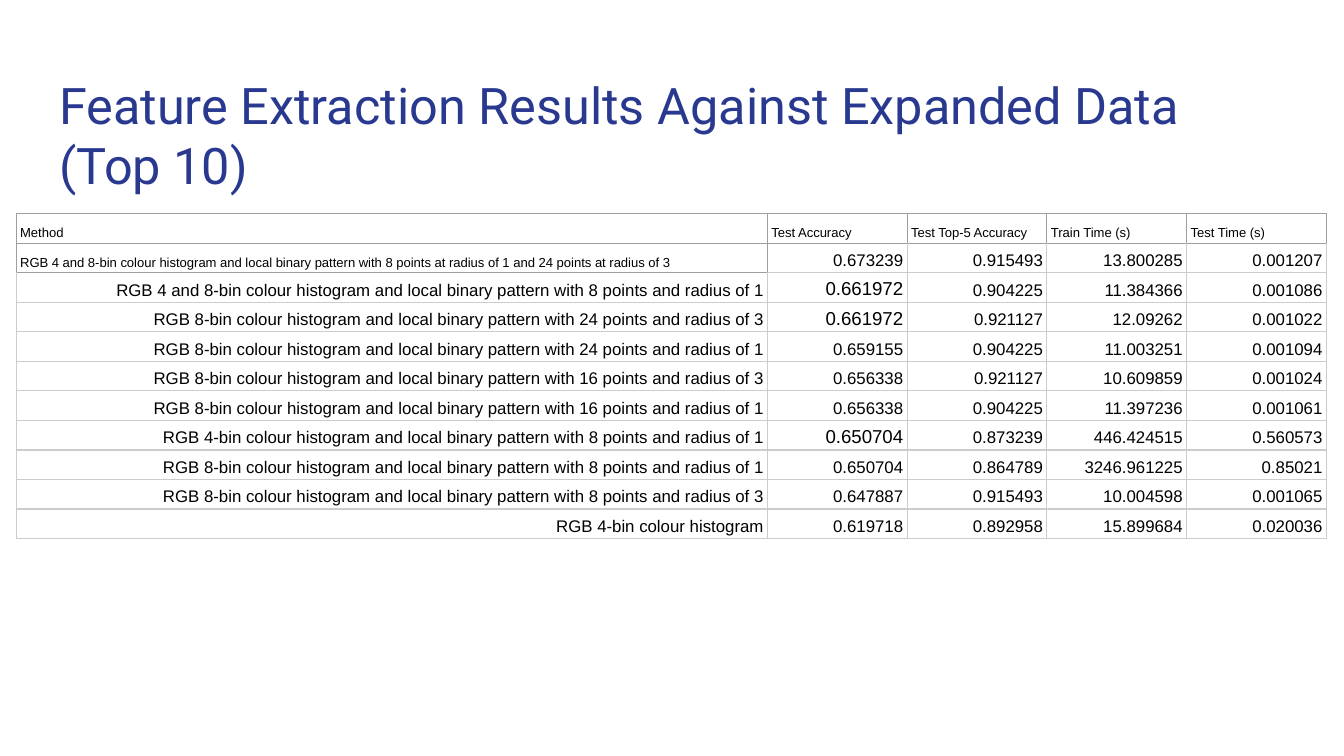
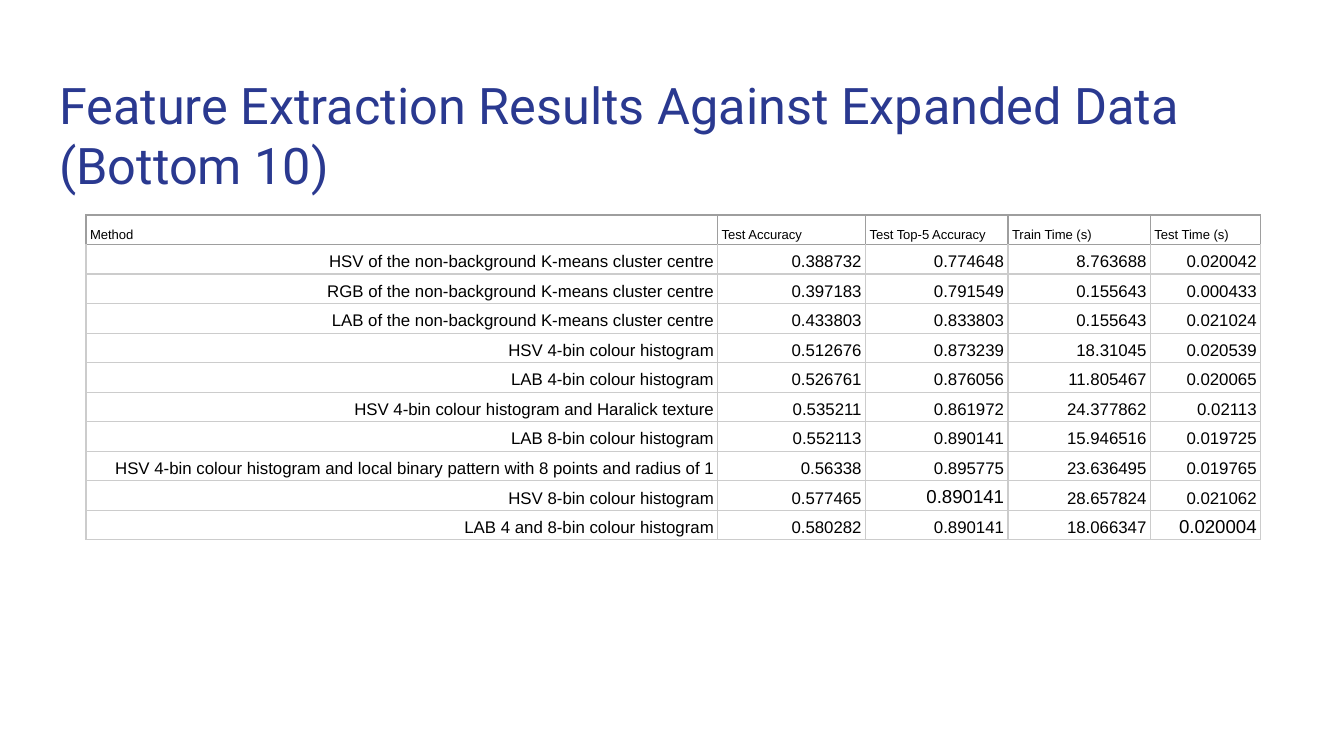
"""Build two slides of feature extraction results, each a title and a table."""
import pptx
import pptx.dml.color
import pptx.enum.text
import pptx.oxml
import pptx.oxml.ns
import pptx.util
from dataclasses import dataclass

Inches = pptx.util.Inches
Pt = pptx.util.Pt
RGB = pptx.dml.color.RGBColor.from_string
Align = pptx.enum.text.PP_ALIGN
Anchor = pptx.enum.text.MSO_ANCHOR


@dataclass
class Theme:
    title: str = "2A3990"
    ink: str = "000000"
    dark: str = "9E9E9E"
    light: str = "CCCCCC"
    head: str = "Roboto"
    body: str = "Arial"
    big: float = 27
    label: float = 7
    value: float = 9
    large: float = 10
    rule: float = 0.75


theme = Theme()


def write(para, text, font, size, color):
    run = para.add_run()
    run.text = text
    run.font.name = font
    run.font.size = Pt(size)
    run.font.color.rgb = RGB(color)


def edge(cell, sides):
    props = cell._tc.get_or_add_tcPr()
    for i, (side, color) in enumerate(sides.items()):
        line = pptx.oxml.parse_xml(
            f'<a:ln{side} {pptx.oxml.ns.nsdecls("a")} w="{Pt(theme.rule)}">'
            f'<a:solidFill><a:srgbClr val="{color}"/></a:solidFill>'
            f'<a:prstDash val="solid"/></a:ln{side}>')
        props.insert(i, line)


header = ["Method", "Test Accuracy", "Test Top-5 Accuracy", "Train Time (s)", "Test Time (s)"]
lbp = "colour histogram and local binary pattern with"
means = "of the non-background K-means cluster centre"

top = [
    [f"RGB 4 and 8-bin {lbp} 8 points at radius of 1 and 24 points at radius of 3",
     "0.673239", "0.915493", "13.800285", "0.001207"],
    [f"RGB 4 and 8-bin {lbp} 8 points and radius of 1", "0.661972", "0.904225", "11.384366", "0.001086"],
    [f"RGB 8-bin {lbp} 24 points and radius of 3", "0.661972", "0.921127", "12.09262", "0.001022"],
    [f"RGB 8-bin {lbp} 24 points and radius of 1", "0.659155", "0.904225", "11.003251", "0.001094"],
    [f"RGB 8-bin {lbp} 16 points and radius of 3", "0.656338", "0.921127", "10.609859", "0.001024"],
    [f"RGB 8-bin {lbp} 16 points and radius of 1", "0.656338", "0.904225", "11.397236", "0.001061"],
    [f"RGB 4-bin {lbp} 8 points and radius of 1", "0.650704", "0.873239", "446.424515", "0.560573"],
    [f"RGB 8-bin {lbp} 8 points and radius of 1", "0.650704", "0.864789", "3246.961225", "0.85021"],
    [f"RGB 8-bin {lbp} 8 points and radius of 3", "0.647887", "0.915493", "10.004598", "0.001065"],
    ["RGB 4-bin colour histogram", "0.619718", "0.892958", "15.899684", "0.020036"],
]
bottom = [
    [f"HSV {means}", "0.388732", "0.774648", "8.763688", "0.020042"],
    [f"RGB {means}", "0.397183", "0.791549", "0.155643", "0.000433"],
    [f"LAB {means}", "0.433803", "0.833803", "0.155643", "0.021024"],
    ["HSV 4-bin colour histogram", "0.512676", "0.873239", "18.31045", "0.020539"],
    ["LAB 4-bin colour histogram", "0.526761", "0.876056", "11.805467", "0.020065"],
    ["HSV 4-bin colour histogram and Haralick texture", "0.535211", "0.861972", "24.377862", "0.02113"],
    ["LAB 8-bin colour histogram", "0.552113", "0.890141", "15.946516", "0.019725"],
    [f"HSV 4-bin {lbp} 8 points and radius of 1", "0.56338", "0.895775", "23.636495", "0.019765"],
    ["HSV 8-bin colour histogram", "0.577465", "0.890141", "28.657824", "0.021062"],
    ["LAB 4 and 8-bin colour histogram", "0.580282", "0.890141", "18.066347", "0.020004"],
]
heads = {(0, c) for c in range(len(header))}
pages = [
    ("Top 10", top, 0.12, 1.59, [5.59] + [1.04] * 4, heads | {(1, 0)}, {(2, 1), (3, 1), (7, 1)}),
    ("Bottom 10", bottom, 0.64, 1.6, [4.7, 1.1, 1.06, 1.06, 0.82], heads, {(9, 2), (10, 4)}),
]
high = 0.22

deck = pptx.Presentation()
deck.slide_width = Inches(10)
deck.slide_height = Inches(10) * 9 // 16

for name, data, left, upper, widths, labels, larges in pages:
    slide = deck.slides.add_slide(deck.slide_layouts[5])
    title = slide.shapes.title
    title.left, title.top = Inches(0.34), Inches(0.45)
    title.width, title.height = Inches(9.32), Inches(0.66)
    frame = title.text_frame
    frame.word_wrap = True
    frame.auto_size = pptx.enum.text.MSO_AUTO_SIZE.NONE
    frame.vertical_anchor = Anchor.TOP
    frame.margin_left = frame.margin_right = Inches(0.1)
    frame.margin_top = frame.margin_bottom = Inches(0.1)
    para = frame.paragraphs[0]
    para.alignment = Align.LEFT
    write(para, f"Feature Extraction Results Against Expanded Data ({name})",
          theme.head, theme.big, theme.title)

    rows = [header] + data
    table = slide.shapes.add_table(
        len(rows), len(header), Inches(left), Inches(upper),
        Inches(sum(widths)), Inches(high * len(rows))).table
    table.horz_banding = False
    table.first_row = False
    for col, width in zip(table.columns, widths):
        col.width = Inches(width)

    for r, row in enumerate(rows):
        table.rows[r].height = Inches(high)
        for c, text in enumerate(row):
            spot = (r, c)
            cell = table.cell(r, c)
            cell.vertical_anchor = Anchor.BOTTOM
            cell.margin_left = cell.margin_right = Inches(0.03)
            cell.margin_top = cell.margin_bottom = Inches(0.02)
            cell.fill.background()
            near = {"L": (r, c - 1), "R": (r, c + 1), "T": (r - 1, c), "B": (r + 1, c)}
            edge(cell, {side: theme.dark if {spot, mate} & labels else theme.light
                        for side, mate in near.items()})
            para = cell.text_frame.paragraphs[0]
            para.line_spacing = 1.15
            para.alignment = Align.LEFT if spot in labels else Align.RIGHT
            size = theme.label if spot in labels else theme.large if spot in larges else theme.value
            write(para, text, theme.body, size, theme.ink)

deck.save("out.pptx")
